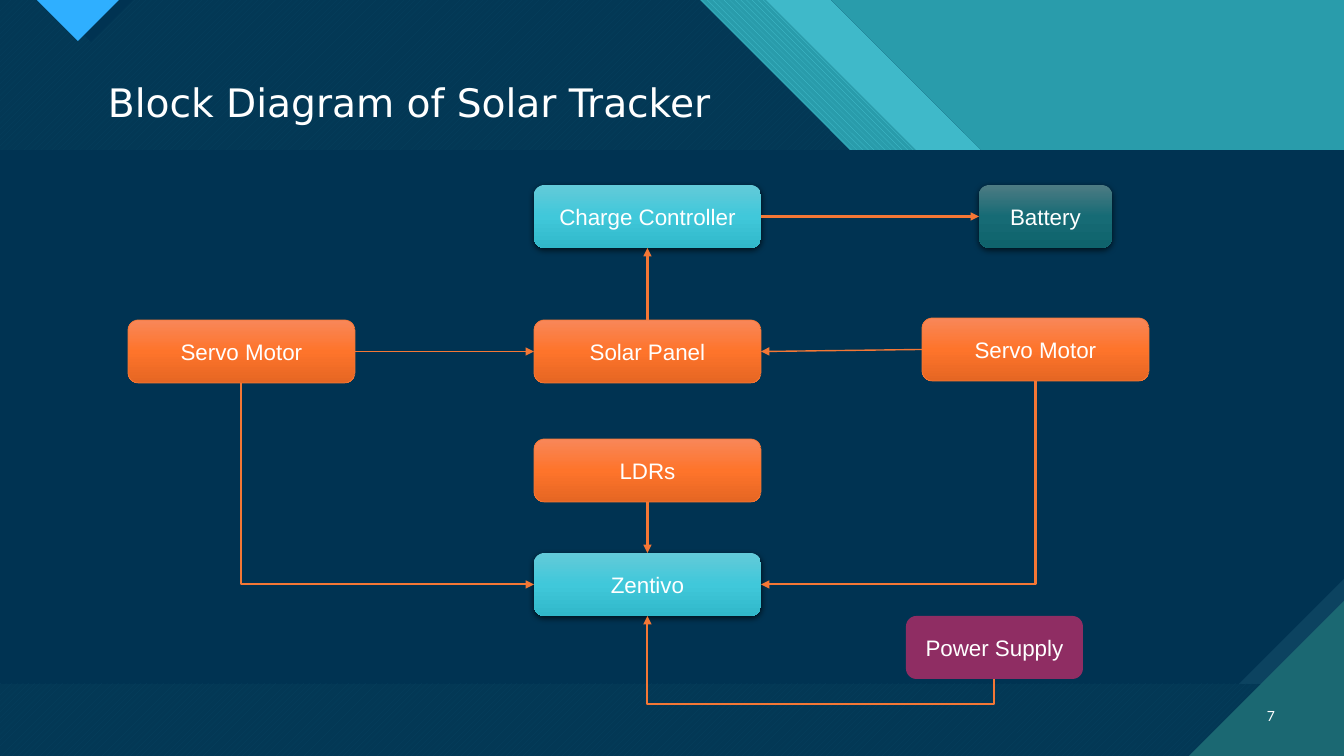
from copy import deepcopy

from pptx import Presentation
from pptx.dml.color import RGBColor
from pptx.enum.dml import MSO_PATTERN
from pptx.enum.shapes import MSO_CONNECTOR, MSO_SHAPE
from pptx.enum.text import MSO_ANCHOR, PP_ALIGN
from pptx.oxml import parse_xml
from pptx.oxml.ns import nsdecls, qn
from pptx.util import Pt

EMU_PER_PX = 914400 / 100.8
SLIDE_W, SLIDE_H = 1344, 756
HEADER_H, FOOTER_TOP = 150, 684
NAVY, TEAL, AQUA, WHITE = "003352", "299CAB", "47C3D3", "FFFFFF"
ARROW = "F47735"
TOP, LEFT, BOTTOM, RIGHT = range(4)

CYAN_STOPS = ("63CAD9", "40C8DA", "31B8CA")
DARK_STOPS = ("4D7B83", "166B75", "0F636C")
ORANGE_STOPS = ("F88759", "FE742B", "E56623")


def px(length):
    return round(length * EMU_PER_PX)


def color(hex_code):
    return RGBColor.from_string(hex_code)


def write(shape, text, size=16, font="Arial", align=PP_ALIGN.CENTER,
          anchor=MSO_ANCHOR.MIDDLE, inset=10, wrap=True, spacing=1.0):
    frame = shape.text_frame
    frame.word_wrap = wrap
    frame.vertical_anchor = anchor
    frame.margin_left = frame.margin_right = px(inset)
    frame.margin_top = frame.margin_bottom = px(5)
    paragraph = frame.paragraphs[0]
    paragraph.alignment = align
    paragraph.line_spacing = spacing
    run = paragraph.add_run()
    run.text = text
    run.font.size = Pt(size)
    run.font.name = font
    run.font.color.rgb = color(WHITE)


def polygon(slide, points, fill, back=None, pattern=None):
    """Closed outline in px, filled solid or with a two-colour pattern."""
    corners = [(px(x), px(y)) for x, y in points]
    builder = slide.shapes.build_freeform(*corners[0])
    builder.add_line_segments(corners[1:], close=True)
    shape = builder.convert_to_shape()
    shape.shadow.inherit = False
    shape.line.fill.background()
    if pattern:
        shape.fill.patterned()
        shape.fill.pattern = pattern
        shape.fill.fore_color.rgb = color(fill)
        shape.fill.back_color.rgb = color(back)
    else:
        shape.fill.solid()
        shape.fill.fore_color.rgb = color(fill)


def band(slide, top, bottom):
    polygon(slide, [(0, top), (SLIDE_W, top), (SLIDE_W, bottom), (0, bottom)],
            "07415F", "033855", MSO_PATTERN.WIDE_UPWARD_DIAGONAL)


def slanted(slide, left, right, height, *fill):
    """Header strip whose sides fall at 45 degrees."""
    polygon(slide, [(left, 0), (right, 0), (right + height, height),
                    (left + height, height)], *fill)


def header(slide, height):
    band(slide, 0, height)
    slanted(slide, 700, 766, height, AQUA, TEAL, MSO_PATTERN.WIDE_DOWNWARD_DIAGONAL)
    slanted(slide, 766, 831, height, "3FB9C9")
    polygon(slide, [(831, 0), (SLIDE_W, 0), (SLIDE_W, height),
                    (831 + height, height)], TEAL)
    for center, half, fill in ((91, 42, NAVY), (78, 41, "2FAFFF")):
        polygon(slide, [(center - half, 0), (center + half, 0), (center, half)], fill)


def corner(slide, bottom, size, fill):
    polygon(slide, [(SLIDE_W - size, bottom), (SLIDE_W, bottom - size),
                    (SLIDE_W, bottom)], fill)


def footer(slide, top):
    corner(slide, top, 105, "0C4360")
    band(slide, top, SLIDE_H)
    corner(slide, SLIDE_H, 155, "1B6872")
    number = slide.shapes.add_textbox(px(1241), px(top + 12), px(44), px(40))
    write(number, "7", size=10, font="Lato", align=PP_ALIGN.RIGHT)


def place_title(slide, text, left, top, width, height):
    title = slide.shapes.title
    title.left, title.top, title.width, title.height = map(px, (left, top, width, height))
    write(title, text, size=28, font="DejaVu Sans", align=PP_ALIGN.LEFT,
          anchor=MSO_ANCHOR.BOTTOM, spacing=0.9)
    slide.shapes._spTree.append(title._element)  # in front of the backdrop


def shade(shape, stops):
    """Vertical gradient with evenly spaced colours."""
    shape.fill.gradient()
    shape.fill.gradient_angle = 270
    stop_list = shape._element.spPr.find(qn("a:gradFill")).find(qn("a:gsLst"))
    while len(stop_list) < len(stops):
        stop_list.append(deepcopy(stop_list[0]))
    for i, (stop, hex_code) in enumerate(zip(shape.fill.gradient_stops, stops)):
        stop.position = i / (len(stops) - 1)
        stop.color.rgb = color(hex_code)


def drop_shadow(shape):
    effects = shape._element.spPr.find(qn("a:effectLst"))
    effects.append(parse_xml(
        f'<a:outerShdw {nsdecls("a")} blurRad="{Pt(4.5)}" dist="{Pt(1.5)}" dir="5400000" '
        'algn="ctr" rotWithShape="0"><a:srgbClr val="000000"><a:alpha val="63000"/>'
        '</a:srgbClr></a:outerShdw>'))


def block(slide, text, left, top, stops, width=227, height=63):
    shape = slide.shapes.add_shape(MSO_SHAPE.ROUNDED_RECTANGLE,
                                   *map(px, (left, top, width, height)))
    shape.shadow.inherit = False
    if len(stops) > 1:
        shade(shape, stops)
    else:
        shape.fill.solid()
        shape.fill.fore_color.rgb = color(stops[0])
    if stops == ORANGE_STOPS:
        shape.line.color.rgb = color(ARROW)
        shape.line.width = Pt(0.5)
    else:
        shape.line.fill.background()
    if stops in (CYAN_STOPS, DARK_STOPS):
        drop_shadow(shape)
    write(shape, text)
    return shape


def link(slide, start, start_side, end, end_side, width=1.5,
         kind=MSO_CONNECTOR.STRAIGHT, arrow_at="tailEnd"):
    connector = slide.shapes.add_connector(kind, 0, 0, 0, 0)
    connector.begin_connect(start, start_side)
    connector.end_connect(end, end_side)
    connector.line.color.rgb = color(ARROW)
    connector.line.width = Pt(width)
    properties = connector._element.spPr
    properties.append(parse_xml(f'<a:effectLst {nsdecls("a")}/>'))
    properties.find(qn("a:ln")).append(
        parse_xml(f'<a:{arrow_at} {nsdecls("a")} type="triangle"/>'))
    return connector


def corner_link(slide, target, side, source):
    """One bend: runs sideways from the target, then up to the source."""
    connector = link(slide, target, side, source, BOTTOM,
                     kind=MSO_CONNECTOR.ELBOW, arrow_at="headEnd")
    connector._element.spPr.find(qn("a:prstGeom")).set("prst", "bentConnector2")


def loop_link(slide, source, target, drop):
    """Leaves the source downwards by drop px and enters the target from below."""
    connector = link(slide, source, BOTTOM, target, BOTTOM, kind=MSO_CONNECTOR.ELBOW)
    left, top = connector.left, connector.top
    across, rise = connector.width, connector.height
    connector.left = left + (across - rise) // 2
    connector.top = top + (rise - across) // 2
    connector.width, connector.height = rise, across
    properties = connector._element.spPr
    frame = properties.find(qn("a:xfrm"))
    frame.attrib.pop("flipV", None)
    frame.set("flipH", "1")
    frame.set("rot", "5400000")
    guides = properties.find(qn("a:prstGeom")).find(qn("a:avLst"))
    bend = round(-px(drop) / rise * 100000)
    guides.append(parse_xml(f'<a:gd {nsdecls("a")} name="adj1" fmla="val {bend}"/>'))


def block_diagram(slide, left, top):
    middle = left + 406
    controller = block(slide, "Charge Controller", middle, top, CYAN_STOPS)
    battery = block(slide, "Battery", left + 851, top, DARK_STOPS, width=133)
    panel = block(slide, "Solar Panel", middle, top + 135, ORANGE_STOPS)
    right_servo = block(slide, "Servo Motor", left + 794, top + 133, ORANGE_STOPS)
    left_servo = block(slide, "Servo Motor", left, top + 135, ORANGE_STOPS)
    sensors = block(slide, "LDRs", middle, top + 254, ORANGE_STOPS)
    board = block(slide, "Zentivo", middle, top + 368, CYAN_STOPS)
    power = block(slide, "Power Supply", left + 778, top + 431, ("8F2D63",), width=177)

    link(slide, left_servo, RIGHT, panel, LEFT, width=1)
    link(slide, right_servo, LEFT, panel, RIGHT, width=1)
    link(slide, panel, TOP, controller, BOTTOM)
    link(slide, controller, RIGHT, battery, LEFT)
    link(slide, sensors, BOTTOM, board, TOP)
    corner_link(slide, board, LEFT, left_servo)
    corner_link(slide, board, RIGHT, right_servo)
    loop_link(slide, power, board, drop=25)


def main():
    deck = Presentation()
    deck.slide_width, deck.slide_height = px(SLIDE_W), px(SLIDE_H)
    slide = deck.slides.add_slide(deck.slide_layouts[5])
    slide.background.fill.solid()
    slide.background.fill.fore_color.rgb = color(NAVY)
    header(slide, HEADER_H)
    footer(slide, FOOTER_TOP)
    place_title(slide, "Block Diagram of Solar Tracker", 98, 49, 901, 82)
    block_diagram(slide, 128, 185)
    deck.save("out.pptx")


if __name__ == "__main__":
    main()
